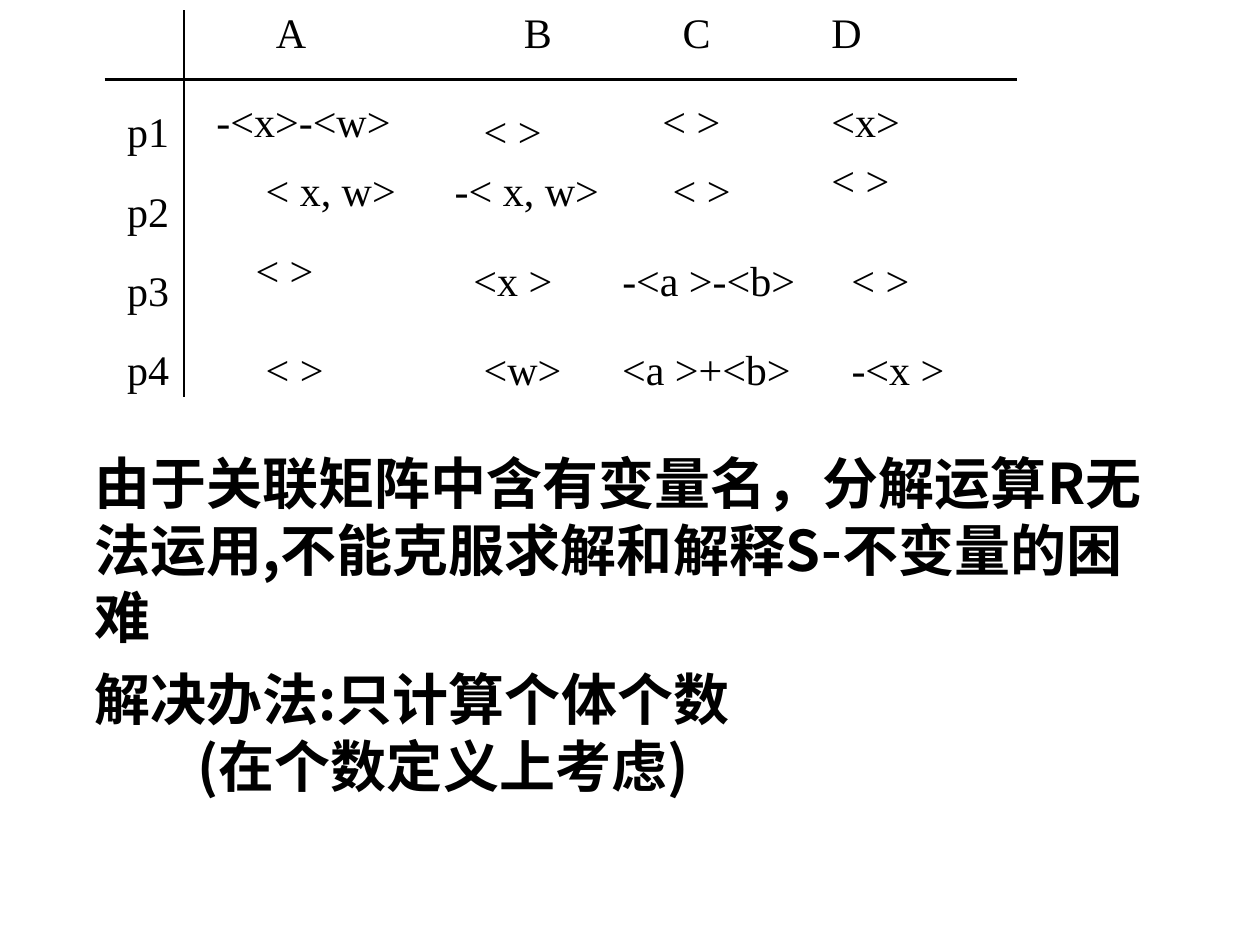
from pptx import Presentation
from pptx.dml.color import RGBColor
from pptx.enum import shapes, text
from pptx.oxml.ns import qn
from pptx.util import Inches, Pt

COLORS = {"ink": "000000"}
LATIN, CJK = "Times New Roman", "Noto Sans CJK SC"
GLYPH_WIDTHS = {"<": 0.19, ">": 0.19, "+": 0.19, "-": 0.11, " ": 0.08, ",": 0.08,
                "w": 0.24, "A": 0.24, "D": 0.24, "B": 0.22, "C": 0.22, "a": 0.15}
HEADERS = [("A", 1.26), ("B", 3.23), ("C", 4.49), ("D", 5.67)]
ROW_TOP, ROW_STEP = 0.79, 0.63
ROWS = [
    ("p1", [("-<x>-<w>", 0.79, -0.08), ("< >", 2.91, 0),
            ("< >", 4.33, -0.08), ("<x>", 5.67, -0.08)]),
    ("p2", [("< x, w>", 1.18, -0.16), ("-< x, w>", 2.68, -0.16),
            ("< >", 4.41, -0.16), ("< >", 5.67, -0.24)]),
    ("p3", [("< >", 1.1, -0.16), ("<x >", 2.83, -0.08),
            ("-<a >-<b>", 4.01, -0.08), ("< >", 5.83, -0.08)]),
    ("p4", [("< >", 1.18, 0), ("<w>", 2.91, 0),
            ("<a >+<b>", 4.01, 0), ("-<x >", 5.83, 0)]),
]
NOTES = [
    ("由于关联矩阵中含有变量名，分解运算R无法运用,不能克服求解和解释S-不变量的困难", 8, 0),
    ("解决办法:只计算个体个数", 8, 0),
    ("(在个数定义上考虑)", 0, 0.82),
]


def add_run(p, content, *, font=LATIN, size=24, bold=False):
    """Add a formatted run to a paragraph."""
    r = p.add_run()
    r.text = content
    r.font.name, r.font.size, r.font.bold = font, Pt(size), bold
    r.font.color.rgb = RGBColor.from_string(COLORS["ink"])
    ea = r._r.get_or_add_rPr().makeelement(qn("a:ea"), {"typeface": font})
    r.font._element.find(qn("a:latin")).addnext(ea)


def add_label(s, content, x, y):
    """Place a single unwrapped matrix label sized to its glyphs."""
    w = 0.21 + sum(GLYPH_WIDTHS.get(c, 0.17) for c in content)
    sp = s.shapes.add_textbox(Inches(x), Inches(y), Inches(w), Inches(0.5))
    tf = sp.text_frame
    tf.word_wrap = False
    tf.auto_size = text.MSO_AUTO_SIZE.SHAPE_TO_FIT_TEXT
    tf.paragraphs[0].alignment = text.PP_ALIGN.LEFT
    add_run(tf.paragraphs[0], content)


def add_rule(s, x1, y1, x2, y2):
    """Draw a plain straight rule."""
    sp = s.shapes.add_connector(shapes.MSO_CONNECTOR.STRAIGHT,
                                Inches(x1), Inches(y1), Inches(x2), Inches(y2))
    sp.line.width = Pt(1.5)
    sp.line.color.rgb = RGBColor.from_string(COLORS["ink"])
    sp._element.spPr.append(sp._element.spPr.makeelement(qn("a:effectLst"), {}))


def add_matrix(s, x, y, w, h):
    """Build the incidence matrix within its box."""
    add_rule(s, x, y + 0.63, x + w, y + 0.63)
    add_rule(s, x + 0.63, y + 0.08, x + 0.63, y + h)
    for name, dx in HEADERS:
        add_label(s, name, x + dx, y)
    for i, (name, cells) in enumerate(ROWS):
        top = y + ROW_TOP + i * ROW_STEP
        add_label(s, name, x + 0.08, top)
        for content, dx, dy in cells:
            add_label(s, content, x + dx, top + dy)


def add_notes(s, x, y, w, h):
    """Write the explanation below the matrix."""
    sp = s.shapes.add_textbox(Inches(x), Inches(y), Inches(w), Inches(h))
    tf = sp.text_frame
    tf.word_wrap = True
    tf.margin_left = Inches(0.48)
    for i, (content, before, indent) in enumerate(NOTES):
        p = tf.add_paragraph() if i else tf.paragraphs[0]
        p.space_before = Pt(before)
        p.line_spacing = Pt(38.4)
        p._p.get_or_add_pPr().set("marL", str(Inches(indent)))
        add_run(p, content, font=CJK, size=32, bold=True)


def main():
    """Build and save the slide."""
    prs = Presentation()
    prs.slide_width, prs.slide_height = Inches(10), Inches(7.5)
    s = prs.slides.add_slide(prs.slide_layouts[6])
    add_notes(s, 0.27, 3.51, 9.14, 3.56)
    add_matrix(s, 0.83, 0, 7.24, 3.15)
    prs.save("out.pptx")


if __name__ == "__main__":
    main()
